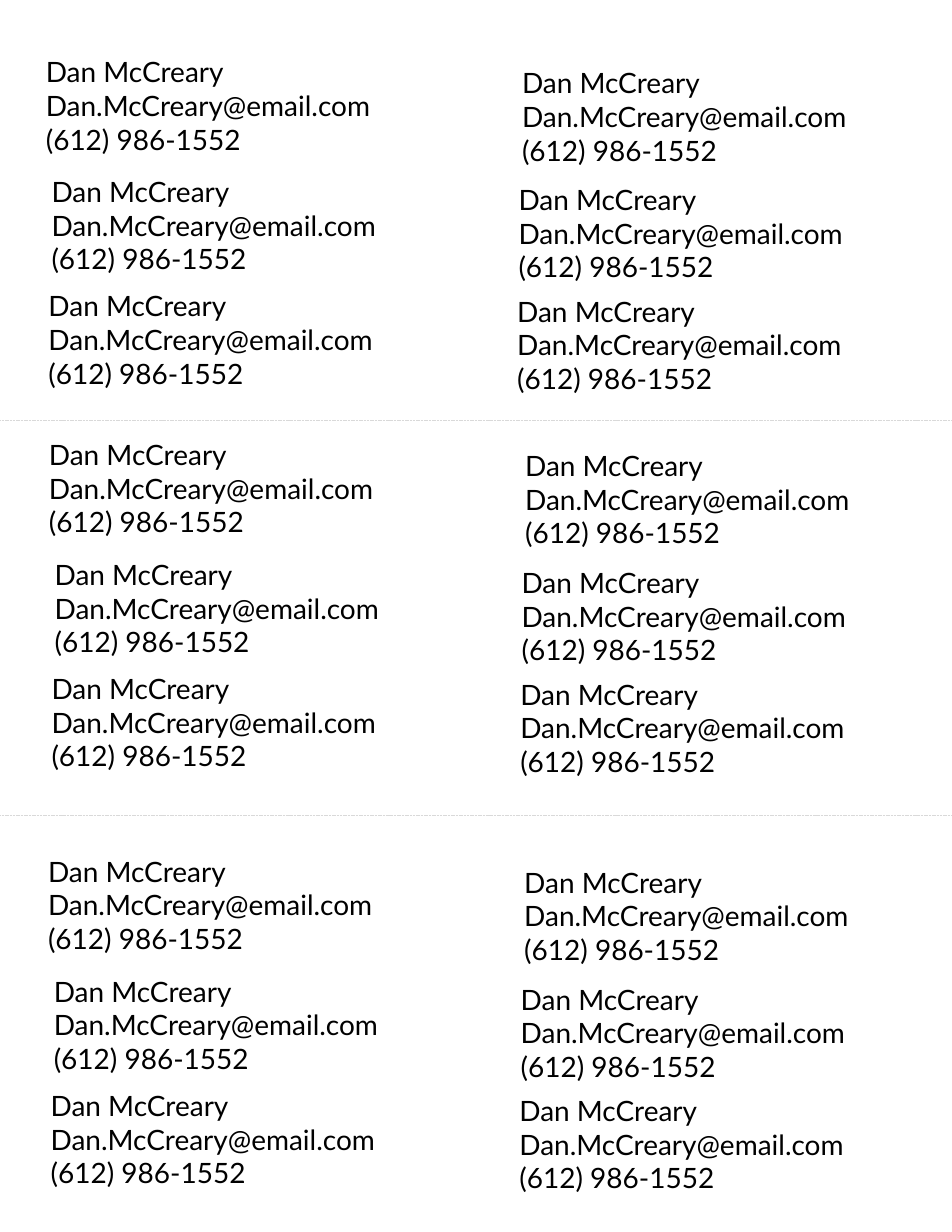
from pptx import Presentation
from pptx import util as u
from pptx.dml.color import RGBColor
from pptx.enum import dml, shapes, text
from pptx.oxml.ns import qn
from lxml import etree

CONTACT = ["Dan McCreary", "Dan.McCreary@email.com", "(612) 986-1552"]
COLORS = {"text": "000000", "fold": "D9D9D9"}
FONT = "Lato"

PAGE_WIDTH, PAGE_HEIGHT = 21.59, 27.94
LABEL_WIDTH, LABEL_HEIGHT = 8.03, 2.57
FOLD_TOPS = [9.53, 18.49]
BAND_ORIGINS = [(0.79, 1.12), (0.86, 9.8), (0.84, 19.25)]
LABEL_OFFSETS = [
    (0, 0), (10.8, 0.25),
    (0.13, 2.72), (10.72, 2.9),
    (0.06, 5.31), (10.69, 5.43),
]


def add_fold(slide, top):
    fold = slide.shapes.add_connector(
        shapes.MSO_CONNECTOR.STRAIGHT, u.Cm(0), u.Cm(top), u.Cm(PAGE_WIDTH), u.Cm(top))
    fold.line.color.rgb = RGBColor.from_string(COLORS["fold"])
    fold.line.width = u.Pt(0.25)
    fold.line.dash_style = dml.MSO_LINE.SQUARE_DOT
    etree.SubElement(fold._element.spPr, qn("a:effectLst"))


def add_label(slide, left, top):
    label = slide.shapes.add_textbox(
        u.Cm(left), u.Cm(top), u.Cm(LABEL_WIDTH), u.Cm(LABEL_HEIGHT))
    frame = label.text_frame
    frame.word_wrap = False
    frame.auto_size = text.MSO_AUTO_SIZE.SHAPE_TO_FIT_TEXT
    frame.text = "\n".join(CONTACT)
    for paragraph in frame.paragraphs:
        for run in paragraph.runs:
            run.font.name = FONT
            run.font.size = u.Pt(18)
            run.font.color.rgb = RGBColor.from_string(COLORS["text"])


def main():
    presentation = Presentation()
    presentation.slide_width = u.Cm(PAGE_WIDTH)
    presentation.slide_height = u.Cm(PAGE_HEIGHT)
    slide = presentation.slides.add_slide(presentation.slide_layouts[6])
    for top in FOLD_TOPS:
        add_fold(slide, top)
    for left, top in BAND_ORIGINS:
        for offset_x, offset_y in LABEL_OFFSETS:
            add_label(slide, left + offset_x, top + offset_y)
    presentation.save("out.pptx")


if __name__ == "__main__":
    main()
